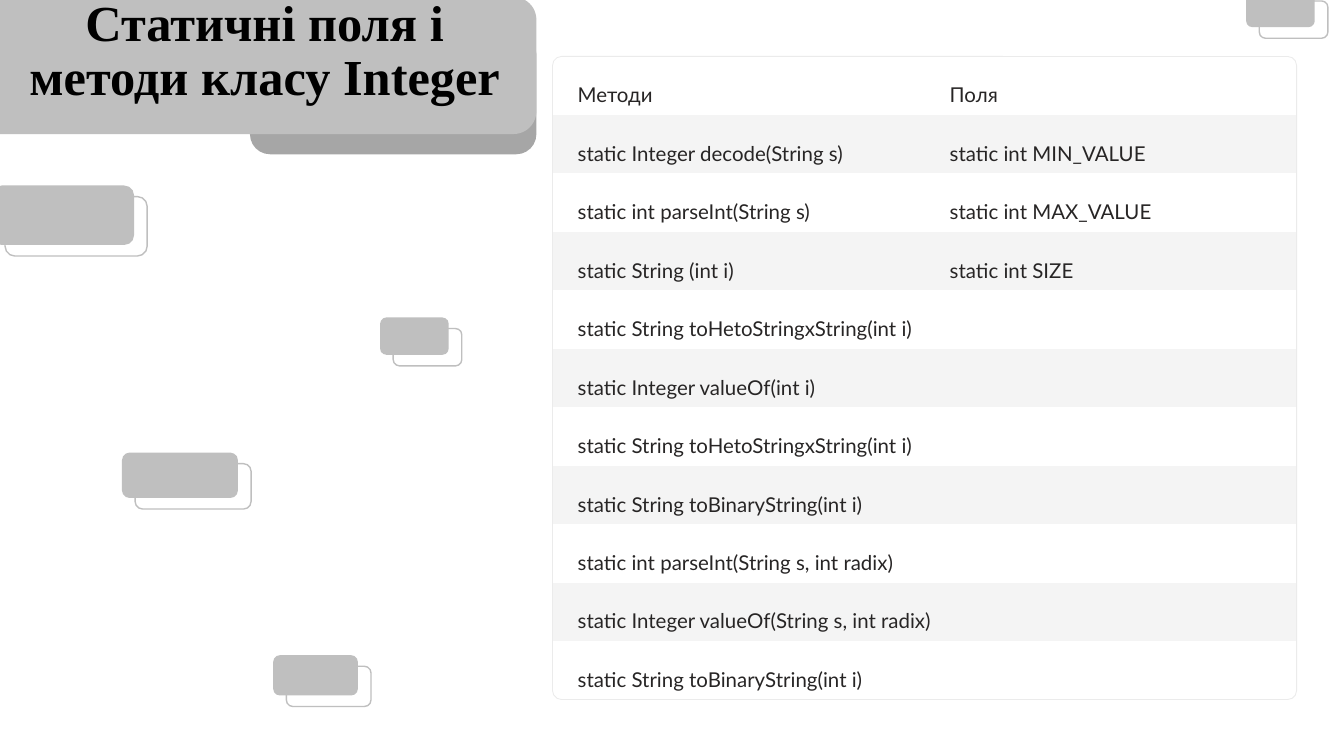
from pptx import Presentation, util as u
from pptx.dml.color import RGBColor
from pptx.enum import shapes, text
from pptx.oxml.ns import qn

TITLE = "Статичні поля і методи класу Integer"
ROWS = [
    ("Методи", "Поля"),
    ("static Integer decode(String s)", "static int MIN_VALUE"),
    ("static int parseInt(String s)", "static int MAX_VALUE"),
    ("static String (int i)", "static int SIZE"),
    ("static String toHetoStringxString(int i)", ""),
    ("static Integer valueOf(int i)", ""),
    ("static String toHetoStringxString(int i)", ""),
    ("static String toBinaryString(int i)", ""),
    ("static int parseInt(String s, int radix)", ""),
    ("static Integer valueOf(String s, int radix)", ""),
    ("static String toBinaryString(int i)", ""),
]
TITLE_PANELS = [
    ((2.48, 0.34, 2.84, 1.19), RGBColor(0xA6, 0xA6, 0xA6)),
    ((-0.23, -0.03, 5.55, 1.36), RGBColor(0xBF, 0xBF, 0xBF)),
]
DECOR = [
    (1.21, 4.49, 1.15, 0.45),
    (3.77, 3.15, 0.68, 0.37),
    (2.71, 6.5, 0.84, 0.4),
    (-0.08, 1.84, 1.41, 0.59),
    (12.36, -0.1, 0.68, 0.37),
]
DECOR_SHIFT = (0.13, 0.11)
TABLE_X, TABLE_Y, ROW_H = 5.48, 0.56, 0.58
COL_WIDTHS = (3.84, 3.54)
COL_INDENTS = (0.25, 0.1)
NO_STYLE = "{2D5ABB26-0587-4C30-8999-92F81FD0307C}"

SILVER = RGBColor(0xBF, 0xBF, 0xBF)
STRIPE = RGBColor(0xF4, 0xF4, 0xF4)
FRAME = RGBColor(0xEB, 0xEB, 0xEB)
INK = RGBColor(0x27, 0x25, 0x25)
BLACK = RGBColor(0, 0, 0)

TITLE_FONT = {"name": "Times New Roman", "size": u.Pt(36), "bold": True}
CELL_FONT = {"name": "Lato", "size": u.Pt(14.6), "bold": False}
CELL_FORMAT = {"margin_right": 0, "margin_top": u.Inches(0.18), "margin_bottom": 0}


def set_all(obj, values):
    for name, value in values.items():
        setattr(obj, name, value)


def write(p, words, font, color, spacing):
    p.line_spacing = spacing
    if words:
        r = p.add_run()
        r.text = words
        set_all(r.font, font)
        r.font.color.rgb = color


def rounded(s, box, fill=None, line=None, width=1):
    sp = s.shapes.add_shape(shapes.MSO_SHAPE.ROUNDED_RECTANGLE, *map(u.Inches, box))
    sp.shadow.inherit = False
    if fill is None:
        sp.fill.background()
    else:
        sp.fill.solid()
        sp.fill.fore_color.rgb = fill
    if line is None:
        sp.line.fill.background()
    else:
        sp.line.color.rgb = line
        sp.line.width = u.Pt(width)
    return sp


def add_title(s):
    for box, color in TITLE_PANELS:
        rounded(s, box, fill=color)
    tf = s.shapes.add_textbox(*map(u.Inches, (0, 0.01, 5.25, 1.02))).text_frame
    set_all(tf, {"word_wrap": True, "vertical_anchor": text.MSO_ANCHOR.MIDDLE})
    p = tf.paragraphs[0]
    p.alignment = text.PP_ALIGN.CENTER
    write(p, TITLE, TITLE_FONT, BLACK, 0.9)


def add_methods(s):
    box = (TABLE_X, TABLE_Y, sum(COL_WIDTHS), len(ROWS) * ROW_H)
    table = s.shapes.add_table(len(ROWS), len(COL_WIDTHS), *map(u.Inches, box)).table
    set_all(table, {"first_row": False, "horz_banding": False})
    table._tbl.tblPr.find(qn("a:tableStyleId")).text = NO_STYLE
    for column, width in zip(table.columns, COL_WIDTHS):
        column.width = u.Inches(width)
    for i, row in enumerate(ROWS):
        table.rows[i].height = u.Inches(ROW_H)
        for j, words in enumerate(row):
            cell = table.cell(i, j)
            set_all(cell, CELL_FORMAT)
            cell.margin_left = u.Inches(COL_INDENTS[j])
            if i % 2:
                cell.fill.solid()
                cell.fill.fore_color.rgb = STRIPE
            else:
                cell.fill.background()
            write(cell.text_frame.paragraphs[0], words, CELL_FONT, INK, u.Pt(23.3))
    rounded(s, box, line=FRAME, width=0.6).adjustments[0] = 0.014


def add_decor(s):
    dx, dy = DECOR_SHIFT
    for x, y, w, h in DECOR:
        rounded(s, (x, y, w, h), fill=SILVER)
        rounded(s, (x + dx, y + dy, w, h), line=SILVER)


def main():
    prs = Presentation()
    set_all(prs, {"slide_width": u.Inches(13.33), "slide_height": u.Inches(7.5)})
    s = prs.slides.add_slide(prs.slide_layouts[6])
    add_title(s)
    add_methods(s)
    add_decor(s)
    prs.save("out.pptx")


if __name__ == "__main__":
    main()
